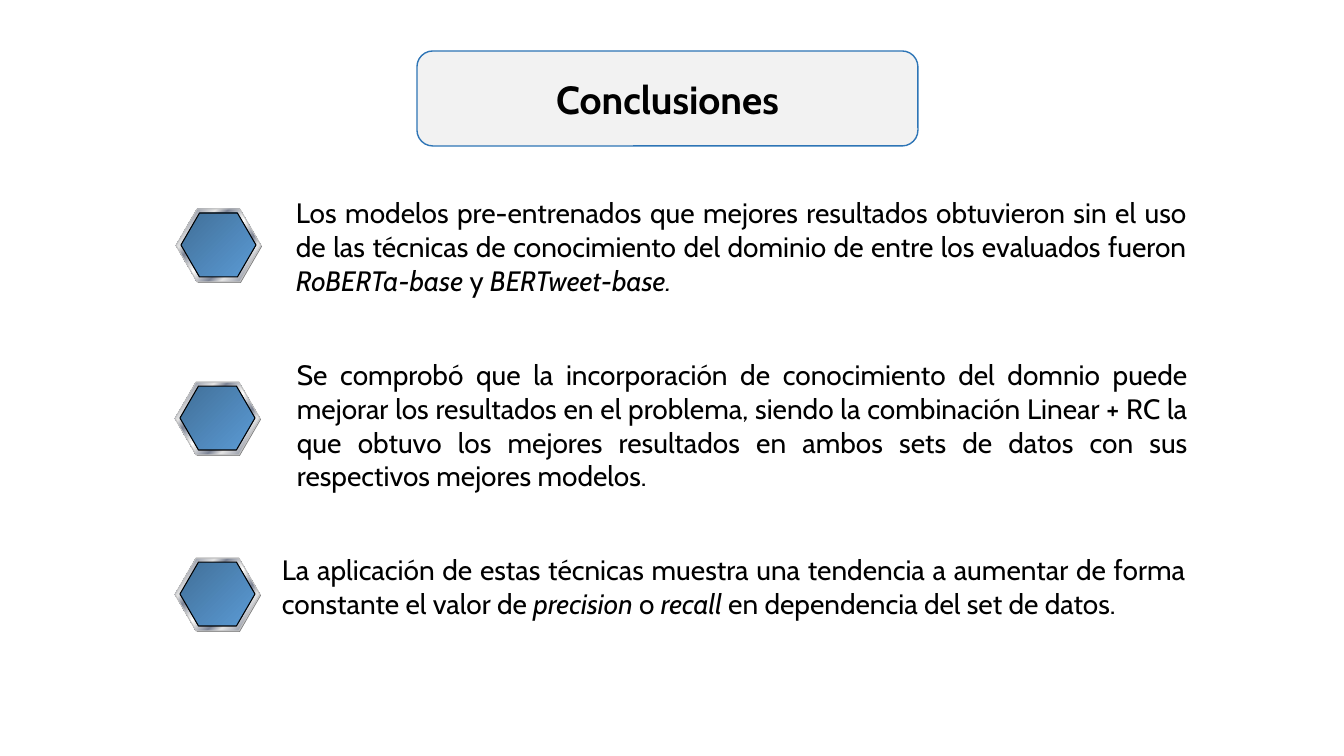
from pptx import Presentation, util as u
from pptx.dml.color import RGBColor
from pptx.enum import shapes, text
from pptx.oxml import parse_xml
from pptx.oxml.ns import nsdecls, qn

EMU_PER_PX = 12192000 / 1344
FONT = "Cabin"
COLORS = {
    "ink": "000000", "panel": "F2F2F2", "panel_line": "2E75B6",
    "shade": "808080", "rim_line": "C0C0C0",
    "silver": "E6E6E6", "steel": "7D8496", "shine": "FFFFFF",
    "core_dark": "416F98", "core_light": "5B9BD5",
}
RIM_STOPS = [
    (0, "silver"), (8, "steel"), (26, "silver"), (34, "steel"),
    (46, "silver"), (50, "shine"), (54, "silver"), (66, "steel"),
    (74, "silver"), (92, "steel"), (100, "silver"),
]
CORE_STOPS = [(0, "core_dark"), (100, "core_light")]

# Badge corner, text box, and runs as (wording, italic)
CONCLUSIONS = [
    ((176, 209), (286, 191, 911, 112), [
        ("Los modelos pre-entrenados que mejores resultados obtuvieron sin el "
         "uso de las técnicas de conocimiento del dominio de entre los "
         "evaluados fueron ", False),
        ("RoBERTa-base ", True), ("y ", False), ("BERTweet-base.", True)]),
    ((175, 382), (287, 353, 911, 146), [
        ("Se comprobó que la incorporación de conocimiento del domnio puede "
         "mejorar los resultados en el problema, siendo la combinación "
         "Linear + RC la que obtuvo los mejores resultados en ambos sets de "
         "datos con sus respectivos mejores modelos.", False)]),
    ((175, 558), (272, 548, 924, 142), [
        ("La aplicación de estas técnicas muestra una tendencia a aumentar de "
         "forma constante el valor de ", False),
        ("precision", True), (" o ", False), ("recall ", True),
        ("en dependencia del set de datos.", False)]),
]


def px(length):
    return u.Emu(round(length * EMU_PER_PX))


def color(name):
    return RGBColor.from_string(COLORS[name])


def format_run(run, size, bold=False, italic=False):
    font = run.font
    font.name, font.size = FONT, u.Pt(size)
    font.bold, font.italic = bold, italic
    font.color.rgb = color("ink")


def fill_gradient(shape, stops):
    """Fill along the diagonal with (percent, colour name) stops."""
    shape.fill.gradient()
    shape.fill.gradient_angle = 315
    stop_list = shape._element.spPr.find(qn("a:gradFill")).find(qn("a:gsLst"))
    for stop in list(stop_list):
        stop_list.remove(stop)
    for percent, name in stops:
        stop_list.append(parse_xml(
            f'<a:gs {nsdecls("a")} pos="{percent * 1000}">'
            f'<a:srgbClr val="{COLORS[name]}"/></a:gs>'))


def add_preset(parent, kind, box, line=None, weight=0.75):
    shape = parent.shapes.add_shape(kind, *map(px, box))
    shape.shadow.inherit = False
    if line:
        shape.line.color.rgb = color(line)
        shape.line.width = u.Pt(weight)
    else:
        shape.line.fill.background()
    return shape


def add_title(slide, box):
    panel = add_preset(slide, shapes.MSO_SHAPE.ROUNDED_RECTANGLE, box,
                       "panel_line", 1)
    panel.fill.solid()
    panel.fill.fore_color.rgb = color("panel")

    title = slide.shapes.title
    title.left, title.top, title.width, title.height = map(px, box)
    slide.shapes._spTree.append(title._element)  # in front of the panel
    frame = title.text_frame
    frame.text = "Conclusiones"
    frame.vertical_anchor = text.MSO_ANCHOR.MIDDLE
    frame.auto_size = text.MSO_AUTO_SIZE.NONE
    paragraph = frame.paragraphs[0]
    paragraph.alignment = text.PP_ALIGN.CENTER
    format_run(paragraph.runs[0], 28, bold=True)


def add_badge(slide, left, top):
    """Group a hexagon's shade, metal rim and blue core."""
    group = slide.shapes.add_group_shape()
    hexagon = shapes.MSO_SHAPE.HEXAGON
    shade = add_preset(group, hexagon, (left + 1, top + 1, 85, 73))
    rim = add_preset(group, hexagon, (left, top, 85, 73), "rim_line")
    core = add_preset(group, hexagon, (left + 5, top + 4, 75, 64), "ink")
    for shape in (shade, rim, core):
        shape.adjustments[0] = 0.29
    shade.fill.solid()
    shade.fill.fore_color.rgb = color("shade")
    fill_gradient(rim, RIM_STOPS)
    fill_gradient(core, CORE_STOPS)


def add_conclusion(slide, box, runs):
    frame = slide.shapes.add_textbox(*map(px, box)).text_frame
    frame.word_wrap = True
    paragraph = frame.paragraphs[0]
    paragraph.alignment = text.PP_ALIGN.JUSTIFY
    for wording, italic in runs:
        run = paragraph.add_run()
        run.text = wording
        format_run(run, 20, italic=italic)


def main():
    presentation = Presentation()
    presentation.slide_width, presentation.slide_height = px(1344), px(756)
    slide = presentation.slides.add_slide(presentation.slide_layouts[5])
    add_title(slide, (417, 51, 501, 95))
    for corner, box, runs in CONCLUSIONS:
        add_badge(slide, *corner)
        add_conclusion(slide, box, runs)
    presentation.save("out.pptx")


if __name__ == "__main__":
    main()
